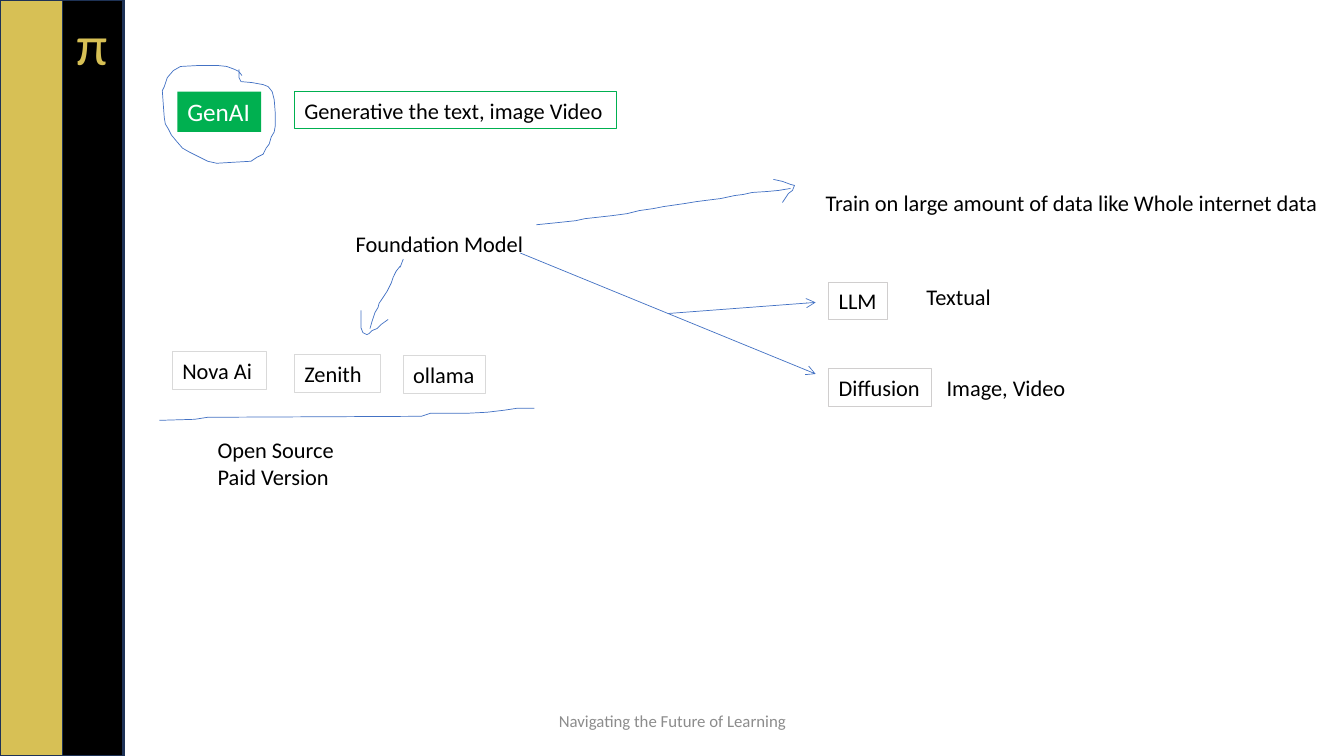
"""Build the GenAI foundation model sketch slide."""
import pptx
import pptx.util
import pptx.dml.color
import pptx.enum.shapes
import pptx.enum.text
import pptx.oxml
import pptx.oxml.ns

EMU = 9144
WIDE, HIGH = 1333, 750
FONT = "Calibri"
HEX = {
    "gold": "D7C055", "black": "000000", "navy": "1E3256", "green": "00B050",
    "white": "FFFFFF", "gray": "8C8C8C", "ink": "4472C4",
    "pale": "D9D9D9", "stone": "D0CECE",
}

BARS = [((0, 0, 123, HIGH), "gold"), ((62, 0, 60, HIGH), "black")]

LABELS = [
    ((292, 91, 320, 37), "Generative the text, image Video", "green"),
    ((343, 223, 188, 37), "Foundation Model", None),
    ((809, 183, 514, 37), "Train on large amount of data like Whole internet data", None),
    ((292, 352, 85, 37), "Zenith", "pale"),
    ((400, 353, 82, 37), "ollama", "pale"),
    ((171, 349, 93, 37), "Nova Ai", "pale"),
    ((206, 428, 137, 64), "Open Source\nPaid Version", None),
    ((822, 280, 58, 37), "LLM", "stone"),
    ((909, 276, 90, 37), "Textual", None),
    ((822, 366, 102, 37), "Diffusion", "stone"),
    ((929, 366, 139, 37), "Image, Video", None),
]

STROKES = {
    "loop": [
        (240, 75), (237, 71), (233, 69), (225, 66), (216, 65), (197, 65), (179, 66),
        (172, 70), (166, 77), (163, 86), (161, 90), (162, 104), (163, 117), (164, 123),
        (167, 128), (170, 134), (175, 140), (181, 147), (188, 151), (194, 154),
        (200, 157), (206, 160), (215, 162), (232, 161), (249, 160), (255, 156),
        (261, 153), (264, 147), (267, 143), (269, 136), (272, 131), (273, 125),
        (273, 112), (272, 99), (270, 91), (266, 86), (261, 84), (250, 82), (239, 81),
        (237, 77), (237, 69)],
    "train": [
        (532, 223), (552, 221), (571, 219), (580, 217), (607, 214), (622, 212),
        (634, 209), (648, 207), (658, 205), (679, 202), (691, 200), (715, 197),
        (729, 194), (737, 193), (746, 191), (761, 190), (772, 189), (778, 188),
        (784, 187)],
    "train tip": [
        (767, 178), (776, 180), (784, 183), (788, 184), (786, 189), (782, 192),
        (776, 201)],
    "down": [
        (400, 257), (397, 265), (397, 264), (393, 269), (390, 275), (388, 281),
        (384, 289), (380, 295), (376, 301), (375, 305), (372, 310), (369, 319),
        (367, 326)],
    "down tip": [
        (385, 317), (378, 322), (374, 326), (369, 328), (366, 331), (364, 332),
        (360, 330), (358, 325), (358, 308)],
    "rule": [
        (158, 417), (193, 416), (206, 414), (418, 413), (427, 410), (440, 410),
        (463, 410), (483, 409), (500, 407), (513, 405), (530, 405)],
}

ARROWS = [(516, 251, 809, 371), (663, 311, 809, 300)]


def px(n):
    return pptx.util.Emu(n * EMU)


def rgb(key):
    return pptx.dml.color.RGBColor.from_string(HEX[key])


def paint(shape, fill, line, width):
    if fill:
        shape.fill.solid()
        shape.fill.fore_color.rgb = rgb(fill)
    else:
        shape.fill.background()
    if line:
        shape.line.color.rgb = rgb(line)
        shape.line.width = pptx.util.Pt(width)
    else:
        shape.line.fill.background()


def write(slide, at, text, size=16, color="black", fill=None, line=None, wrap=False):
    box = slide.shapes.add_textbox(*map(px, at))
    paint(box, fill, line, 0.75)
    frame = box.text_frame
    frame.word_wrap = wrap
    frame.auto_size = pptx.enum.text.MSO_AUTO_SIZE.SHAPE_TO_FIT_TEXT
    for i, part in enumerate(text.split("\n")):
        para = frame.add_paragraph() if i else frame.paragraphs[0]
        run = para.add_run()
        run.text = part
        run.font.name = FONT
        run.font.size = pptx.util.Pt(size)
        run.font.color.rgb = rgb(color)
    return frame


def draw(slide, points):
    pen = slide.shapes.build_freeform(*points[0], scale=EMU)
    pen.add_line_segments(points[1:], close=False)
    shape = pen.convert_to_shape()
    shape.shadow.inherit = False
    paint(shape, None, "ink", 0.5)


def point(slide, ends):
    kind = pptx.enum.shapes.MSO_CONNECTOR.STRAIGHT
    arrow = slide.shapes.add_connector(kind, *map(px, ends))
    arrow.line.color.rgb = rgb("ink")
    arrow.line.width = pptx.util.Pt(0.5)
    tail = pptx.oxml.parse_xml(
        f'<a:tailEnd {pptx.oxml.ns.nsdecls("a")} type="arrow"/>')
    arrow.line._get_or_add_ln().append(tail)
    plain = pptx.oxml.parse_xml(f'<a:effectLst {pptx.oxml.ns.nsdecls("a")}/>')
    arrow._element.spPr.append(plain)


def main():
    deck = pptx.Presentation()
    deck.slide_width, deck.slide_height = px(WIDE), px(HIGH)
    slide = deck.slides.add_slide(deck.slide_layouts[6])
    rect = pptx.enum.shapes.MSO_SHAPE.RECTANGLE
    for at, fill in BARS:
        bar = slide.shapes.add_shape(rect, *map(px, at))
        bar.shadow.inherit = False
        paint(bar, fill, "navy", 1)
    write(slide, (66, 5, 48, 77), "π", 40, "gold", wrap=True)
    foot = write(slide, (442, 695, 450, 40), "Navigating the Future of Learning",
                 12, "gray", wrap=True)
    foot.auto_size = pptx.enum.text.MSO_AUTO_SIZE.NONE
    foot.vertical_anchor = pptx.enum.text.MSO_ANCHOR.MIDDLE
    foot.paragraphs[0].alignment = pptx.enum.text.PP_ALIGN.CENTER
    write(slide, (176, 91, 83, 40), "GenAI", 18, "white", fill="green")
    for at, text, line in LABELS:
        write(slide, at, text, line=line)
    for points in STROKES.values():
        draw(slide, points)
    for ends in ARROWS:
        point(slide, ends)
    deck.save("out.pptx")


if __name__ == "__main__":
    main()
